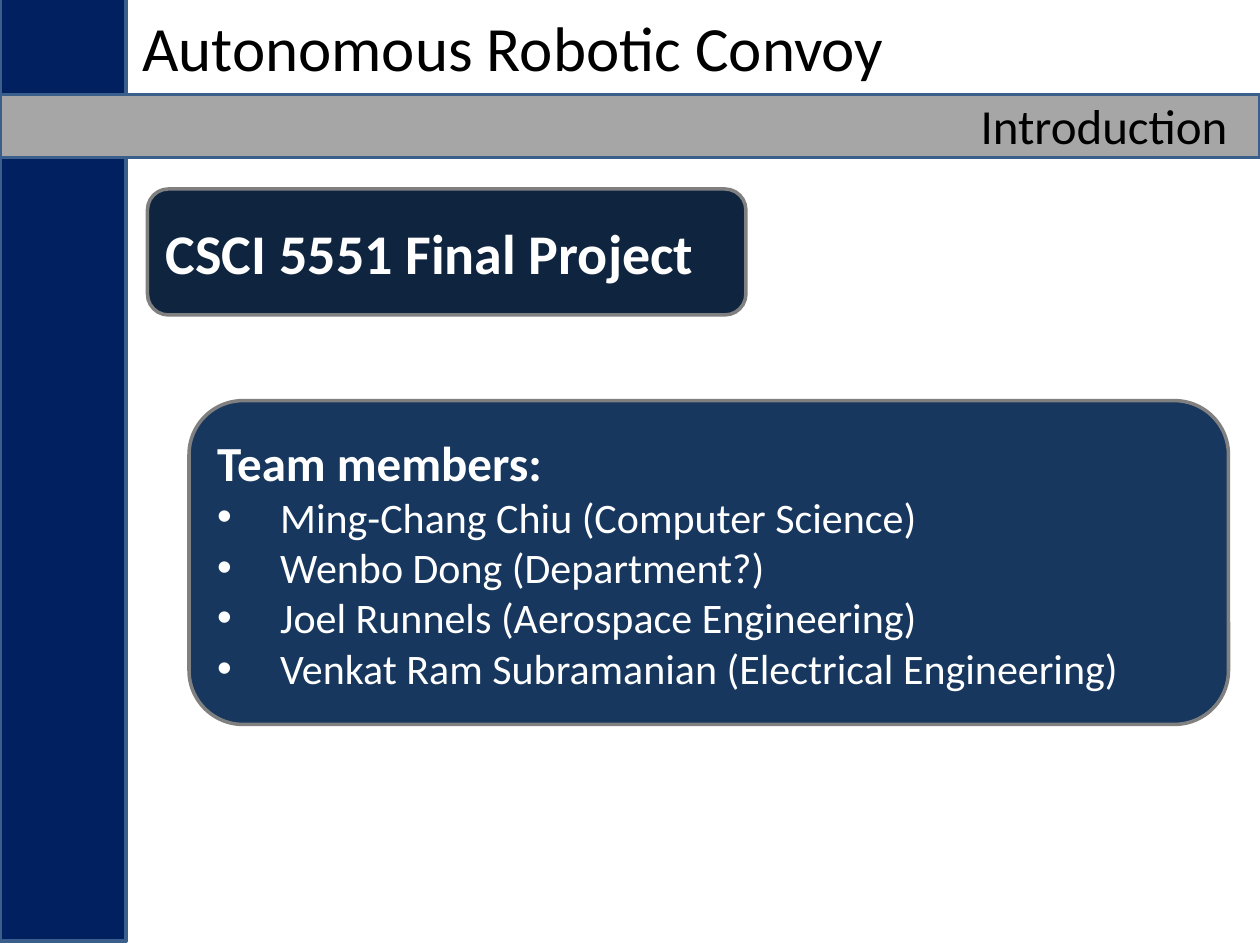
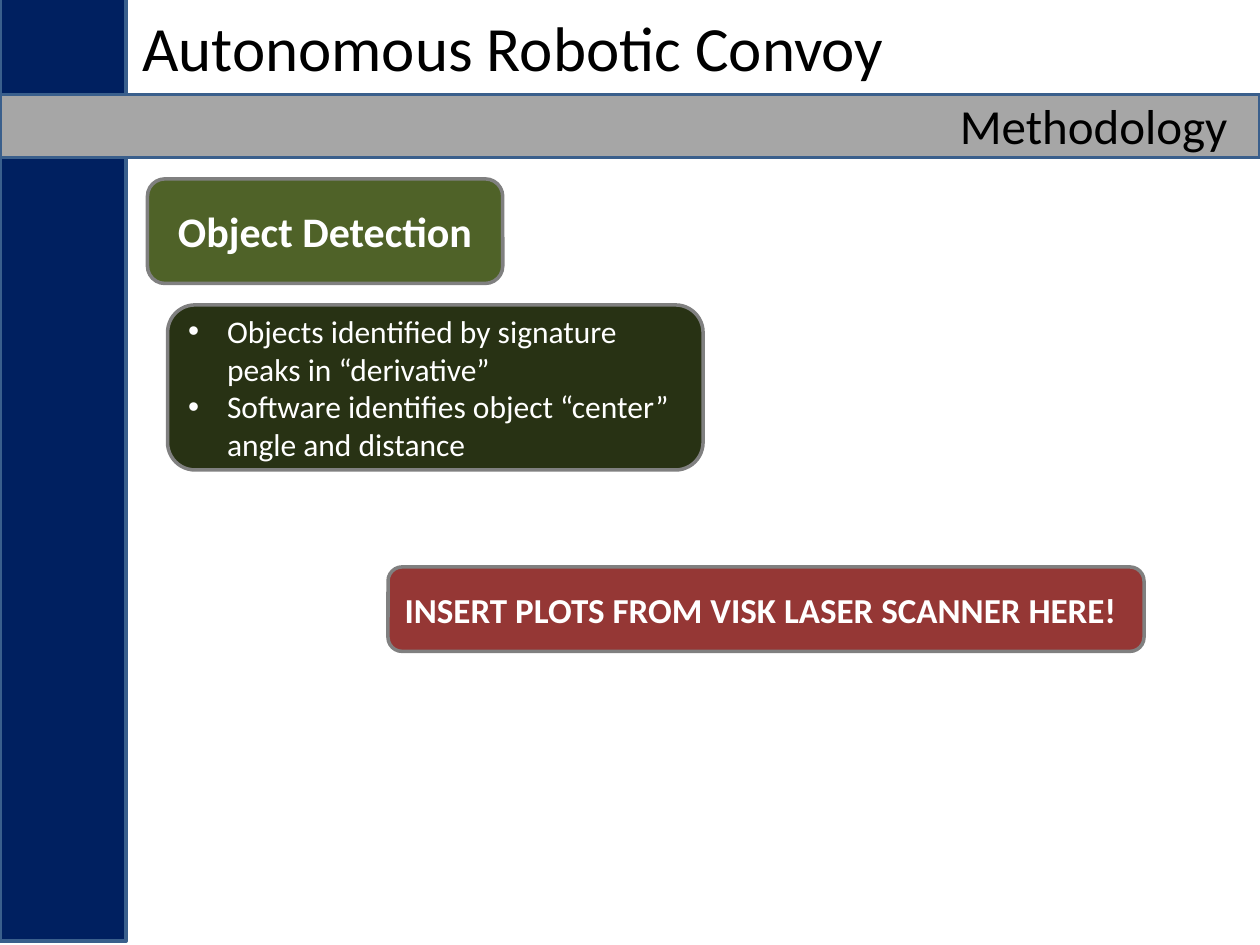
from lxml.etree import SubElement
from pptx import Presentation
from pptx.dml.color import RGBColor
from pptx.enum.shapes import MSO_SHAPE as Preset
from pptx.enum.text import MSO_ANCHOR as Anchor, PP_ALIGN as Align
from pptx.oxml.ns import qn
from pptx.util import Inches, Pt

FONT = "Calibri"
TITLE = "Autonomous Robotic Convoy"
HEADING_RIGHT = 9.84
COLOURS = {
    "side": "002060",
    "band": "A6A6A6",
    "frame": "3A5F8C",
    "outline": "808080",
    "text": "000000",
    "light_text": "FFFFFF",
    "project": "0F243E",
    "team": "17375E",
    "topic": "4F6228",
    "findings": "283214",
    "reminder": "953735",
}


def colour(name):
    """Return the named colour of the deck."""
    return RGBColor.from_string(COLOURS[name])


def add_block(slide, preset, box, fill, line):
    """Add a flat filled shape with a two-point outline."""
    shape = slide.shapes.add_shape(preset, *map(Inches, box))
    shape.shadow.inherit = False
    shape.fill.solid()
    shape.fill.fore_color.rgb = colour(fill)
    shape.line.color.rgb = colour(line)
    shape.line.width = Pt(2)
    return shape


def add_run(paragraph, text, size, ink, bold=False):
    """Add one styled run to a paragraph."""
    run = paragraph.add_run()
    run.text = text
    run.font.name = FONT
    run.font.size = Pt(size)
    run.font.bold = bold
    run.font.color.rgb = colour(ink)


def add_label(slide, box, text, size, align=Align.LEFT):
    """Add a one-line text box in the dark text colour."""
    frame = slide.shapes.add_textbox(*map(Inches, box)).text_frame
    frame.word_wrap = True
    frame.paragraphs[0].alignment = align
    add_run(frame.paragraphs[0], text, size, "text")


def set_bullet(paragraph, indent):
    """Give a paragraph a round bullet with a hanging indent."""
    properties = paragraph._p.get_or_add_pPr()
    properties.set("marL", str(Inches(indent)))
    properties.set("indent", str(-Inches(indent)))
    SubElement(properties, qn("a:buFont")).set("typeface", "Arial")
    SubElement(properties, qn("a:buChar")).set("char", "•")


def add_card(slide, box, fill, size, heading=None, bullets=(),
             bullet_size=None, indent=0, align=Align.LEFT):
    """Add a rounded card with an optional bold heading and bullets."""
    card = add_block(slide, Preset.ROUNDED_RECTANGLE, box, fill, "outline")
    frame = card.text_frame
    frame.word_wrap = True
    frame.vertical_anchor = Anchor.MIDDLE
    lines = ([heading] if heading else []) + list(bullets)
    for number, text in enumerate(lines):
        paragraph = frame.add_paragraph() if number else frame.paragraphs[0]
        paragraph.alignment = align
        if text == heading:
            add_run(paragraph, text, size, "light_text", bold=True)
        else:
            set_bullet(paragraph, indent)
            add_run(paragraph, text, bullet_size or size, "light_text")


def add_page(presentation, heading, heading_width):
    """Add a blank slide with the side bar, grey band, title and heading."""
    slide = presentation.slides.add_slide(presentation.slide_layouts[6])
    add_block(slide, Preset.RECTANGLE, (0, -0.03, 1, 7.5), "side", "frame")
    add_block(slide, Preset.RECTANGLE, (0, 0.75, 10, 0.5), "band", "frame")
    add_label(slide, (1.03, 0.02, 7.1, 0.71), TITLE, 36)
    heading_box = (HEADING_RIGHT - heading_width, 0.71, heading_width, 0.57)
    add_label(slide, heading_box, heading, 28, Align.RIGHT)
    return slide


def add_introduction(presentation):
    """Build the slide that names the project and its team."""
    slide = add_page(presentation, "Introduction", 2.45)
    add_card(slide, (1.17, 1.5, 4.75, 1), "project", 32,
             "CSCI 5551 Final Project")
    members = [
        "Ming-Chang Chiu (Computer Science)",
        "Wenbo Dong (Department?)",
        "Joel Runnels (Aerospace Engineering)",
        "Venkat Ram Subramanian (Electrical Engineering)",
    ]
    add_card(slide, (1.5, 3.18, 8.25, 2.57), "team", 28, "Team members:",
             members, bullet_size=24, indent=0.5)


def add_methodology(presentation):
    """Build the slide on object detection."""
    slide = add_page(presentation, "Methodology", 2.71)
    add_card(slide, (1.17, 1.42, 2.82, 0.83), "topic", 24,
             "Object Detection", align=Align.CENTER)
    findings = [
        "Objects identified by signature peaks in “derivative”",
        "Software identifies object “center” angle and distance",
    ]
    add_card(slide, (1.33, 2.42, 4.25, 1.31), "findings", 18,
             bullets=findings, indent=0.31)
    add_card(slide, (3.08, 4.5, 6, 0.67), "reminder", 20,
             "INSERT PLOTS FROM VISK LASER SCANNER HERE!")


def main():
    """Build and save the presentation."""
    presentation = Presentation()
    presentation.slide_width = Inches(10)
    presentation.slide_height = Inches(7.5)
    add_introduction(presentation)
    add_methodology(presentation)
    presentation.save("out.pptx")


if __name__ == "__main__":
    main()
